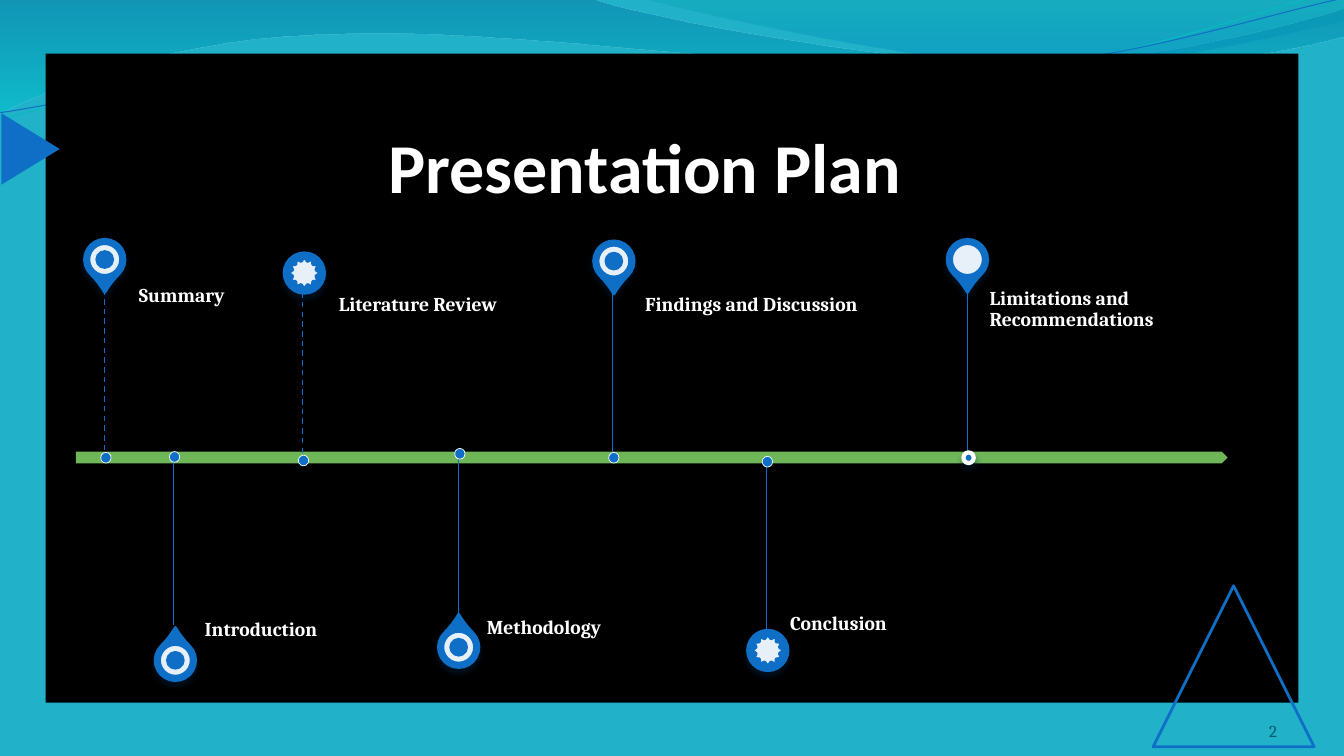
import lxml.etree
import pptx
import pptx.dml.color
import pptx.enum.dml
import pptx.enum.shapes
import pptx.enum.text
import pptx.oxml.ns
import pptx.util

Cm = pptx.util.Cm
Pt = pptx.util.Pt
KIND = pptx.enum.shapes.MSO_SHAPE
ALIGN = pptx.enum.text.PP_ALIGN
ANCHOR = pptx.enum.text.MSO_ANCHOR

COLOURS = {
    "sea": "21B2C9", "panel": "000000", "blue": "0F6FC6", "white": "FFFFFF",
    "green": "7CCA62", "shade": "042747", "number": "045D75", "teal": "0AB8BF",
    "wave_top": "0074A1", "wave_end": "00C6CF", "swell_top": "00A1A9", "swell_end": "008BBF",
}

PIN, DISC, DONUT, STAR = KIND.TEAR, KIND.OVAL, KIND.DONUT, KIND.STAR_12_POINT
STEM_LENGTH = 4.24
CREST_TURN = 357.3

EVENTS = [
    ("Summary", 2.64, 11.53, -1, (2.64, 6.54), PIN, DONUT, (3.28, 6.71, 1.5), 0.22, True),
    ("Introduction", 4.37, 11.51, 1, (4.42, 16.64), PIN, DONUT, (5.16, 15.12, 1.5), 0, False),
    ("Literature Review", 7.62, 11.6, -1, (7.67, 6.88), DISC, STAR, (8.43, 4.57, 6.22), 0.11, True),
    ("Methodology", 11.56, 11.43, 1, (11.56, 16.31), PIN, DONUT, (12.27, 15.09, 1.5), 0, False),
    ("Findings and Discussion", 15.44, 11.53, -1, (15.47, 6.58), PIN, DONUT,
     (16.26, 6.95, 1.5), 0, False),
    ("Conclusion", 19.31, 11.63, 1, (19.35, 16.39), DISC, STAR, (19.91, 14.99, 1.5), 0, False),
    ("Limitations and Recommendations", 24.38, 11.53, -1, (24.38, 6.54), PIN, DISC,
     (24.94, 7.06, 1.5), 0, False),
]

WAVE = [
    [(0, 0)], [(14.91, -0.03)],
    [(16.1, 0.43), (22.48, 1.6), (25.68, 1.6)],
    [(28.91, 1.6), (32.46, 0.66), (33.86, 0.23)],
    [(33.91, 0.91)],
    [(33.3, 1.12), (29.46, 1.93), (25.25, 1.9)],
    [(21.06, 1.9), (12.93, 0.71), (8.71, 0.86)],
    [(4.37, 0.91), (1.55, 2.11), (-0.03, 2.87)],
]
SWELL = [
    [(16.23, -0.03)],
    [(17.25, 0.28), (23.09, 1.57), (26.04, 1.65)],
    [(28.98, 1.75), (32.56, 0.81), (33.86, 0.53)],
    [(33.86, 0)],
]
TEAL_CREST = [
    [(-0.08, 2.22)],
    [(1.59, 1.85), (5.37, 1.03), (9.38, 1.05)],
    [(13.41, 1.06), (20.03, 2.36), (24.1, 2.27)],
    [(28.17, 2.21), (31.84, 0.9), (33.87, 0.55)],
]
BLUE_CREST = [
    [(-0.04, 2.04)],
    [(1.56, 1.9), (5.54, 1.14), (9.61, 1.15)],
    [(13.65, 1.19), (20.19, 2.23), (24.24, 2.17)],
    [(28.3, 2.11), (31.92, 1.07), (33.93, 0.75)],
]


def rgb(name):
    """Return the named colour."""
    return pptx.dml.color.RGBColor.from_string(COLOURS[name])


def add_child(parent, tag, **attributes):
    """Append a DrawingML element."""
    child = lxml.etree.SubElement(parent, pptx.oxml.ns.qn(tag))
    for key, value in attributes.items():
        child.set(key, str(value))
    return child


def set_alpha(parent, percent):
    """Make the colours inside a fill partly transparent."""
    for colour in parent.iter(pptx.oxml.ns.qn("a:srgbClr")):
        add_child(colour, "a:alpha", val=percent * 1000)


def set_line(line, colour, width):
    """Colour an outline, or remove it."""
    if colour is None:
        line.fill.background()
    else:
        line.color.rgb = rgb(colour)
        line.width = Pt(width)


def add_figure(page, kind, place, fill=None, line=None, width=2, alpha=None, turn=0):
    """Add a preset shape at left, top, width, height in centimetres."""
    shape = page.shapes.add_shape(kind, *map(Cm, place))
    shape.rotation = turn
    shape.shadow.inherit = False
    if fill is None:
        shape.fill.background()
    else:
        shape.fill.solid()
        shape.fill.fore_color.rgb = rgb(fill)
    if alpha:
        set_alpha(shape._element.spPr, alpha)
    set_line(shape.line, line, width)
    return shape


def add_shadow(shape):
    """Give a shape a soft shadow below it."""
    effects = shape._element.spPr.find(pptx.oxml.ns.qn("a:effectLst"))
    shadow = add_child(effects, "a:outerShdw", blurRad=Pt(4.5), dist=Pt(3),
                       dir=5400000, rotWithShape=0)
    colour = add_child(shadow, "a:srgbClr", val=COLOURS["shade"])
    add_child(colour, "a:alpha", val=48000)


def bend(shape, segments):
    """Turn each three-point segment of an outline into a cubic curve."""
    sides = list(shape._element.iter(pptx.oxml.ns.qn("a:lnTo")))
    for segment in segments[1:]:
        members, sides = sides[:len(segment)], sides[len(segment):]
        if len(members) == 3:
            members[0].tag = pptx.oxml.ns.qn("a:cubicBezTo")
            for member in members[1:]:
                members[0].append(member[0])
                member.getparent().remove(member)


def add_curve(page, segments, stops=None, line=None, width=0.75, turn=0):
    """Add a curved outline, closed when it has gradient stops."""
    points = [(Cm(x), Cm(y)) for segment in segments for x, y in segment]
    builder = page.shapes.build_freeform(*points[0])
    builder.add_line_segments(points[1:], close=bool(stops))
    shape = builder.convert_to_shape()
    bend(shape, segments)
    shape.rotation = turn
    shape.shadow.inherit = False
    set_line(shape.line, line, width)
    if not stops:
        shape.fill.background()
        return
    shape.fill.gradient()
    shape.fill.gradient_angle = 270
    for stop, (position, colour, alpha) in zip(shape.fill.gradient_stops, stops):
        stop.position = position
        stop.color.rgb = rgb(colour)
        set_alpha(stop._gs, alpha)


def add_text(page, place, text, size, font, colour, bold=True, align=ALIGN.LEFT,
             anchor=ANCHOR.MIDDLE, insets=(0, 0, 0, 0), spacing=None):
    """Add a text box with one paragraph."""
    box = page.shapes.add_textbox(*map(Cm, place))
    frame = box.text_frame
    frame.word_wrap = True
    frame.vertical_anchor = anchor
    frame.margin_left, frame.margin_top, frame.margin_right, frame.margin_bottom = map(Cm, insets)
    para = frame.paragraphs[0]
    para.alignment = align
    para.line_spacing = spacing
    span = para.add_run()
    span.text = text
    span.font.size = Pt(size)
    span.font.name = font
    span.font.bold = bold
    span.font.color.rgb = rgb(colour)


def add_stem(page, x, start, end, dashed):
    """Add the vertical line between the axis and a pin."""
    stem = page.shapes.add_connector(pptx.enum.shapes.MSO_CONNECTOR.STRAIGHT,
                                     Cm(x), Cm(start), Cm(x), Cm(end))
    set_line(stem.line, "blue", 1 if dashed else 0.75)
    if dashed:
        stem.line.dash_style = pptx.enum.dml.MSO_LINE.DASH
    add_child(stem._element.spPr, "a:effectLst")


def add_event(page, label, x, axis, direction, centre, pin_kind, badge, box, inset, dashed, last):
    """Add a pin with its badge, label, stem and dot."""
    pin_x, pin_y = centre
    pin = add_figure(page, pin_kind, (pin_x - 0.51, pin_y - 0.51, 1.02, 1.02), "blue", "blue",
                     turn=135 if direction < 0 else 315)
    if pin_kind == PIN:
        pin.adjustments[0] = 1.15
    add_shadow(pin)
    add_figure(page, badge, (pin_x - 0.4, pin_y - 0.4, 0.8, 0.8), "white", "blue", alpha=90)
    left, top, height = box
    add_text(page, (left, top, 5.84, height), label, 14, "Cambria", "white",
             insets=(inset, 0, 0.25, 0), spacing=0.9)
    add_stem(page, x, *sorted((axis, axis + direction * STEM_LENGTH)), dashed)
    dot = add_figure(page, KIND.OVAL, (x - 0.1, axis - 0.13, 0.26, 0.27), "blue", "white",
                     3 if last else 0.5)
    if last:
        add_shadow(dot)


def main():
    """Build the timeline slide."""
    deck = pptx.Presentation()
    deck.slide_width, deck.slide_height = Cm(33.87), Cm(19.05)
    page = deck.slides.add_slide(deck.slide_layouts[6])
    page.background.fill.solid()
    page.background.fill.fore_color.rgb = rgb("sea")

    add_curve(page, WAVE, [(0, "wave_top", 45), (1, "wave_end", 55)])
    add_curve(page, SWELL, [(0, "swell_top", 30), (0.8, "swell_end", 45)])
    add_curve(page, TEAL_CREST, line="teal", width=0.85, turn=CREST_TURN)
    add_curve(page, BLUE_CREST, line="blue", turn=CREST_TURN)
    add_figure(page, KIND.RECTANGLE, (1.15, 1.35, 31.57, 16.36), "panel")
    add_figure(page, KIND.ISOSCELES_TRIANGLE, (29.06, 14.76, 4.06, 4.06), line="blue")
    add_figure(page, KIND.ISOSCELES_TRIANGLE, (-0.13, 3.02, 1.8, 1.47), "blue", turn=90)

    add_text(page, (1.73, 2.84, 29.03, 2.54), "Presentation Plan", 50, "Calibri", "white",
             align=ALIGN.CENTER, insets=(0, 0.13, 0, 0))
    add_figure(page, KIND.PENTAGON, (1.91, 11.38, 29.03, 0.3), "green", alpha=90)
    for event in EVENTS:
        add_event(page, *event, last=event is EVENTS[-1])
    add_text(page, (29.36, 17.65, 2.82, 1.02), "2", 12, "Cambria", "number", bold=False,
             align=ALIGN.RIGHT, anchor=ANCHOR.BOTTOM)
    deck.save("out.pptx")


if __name__ == "__main__":
    main()
